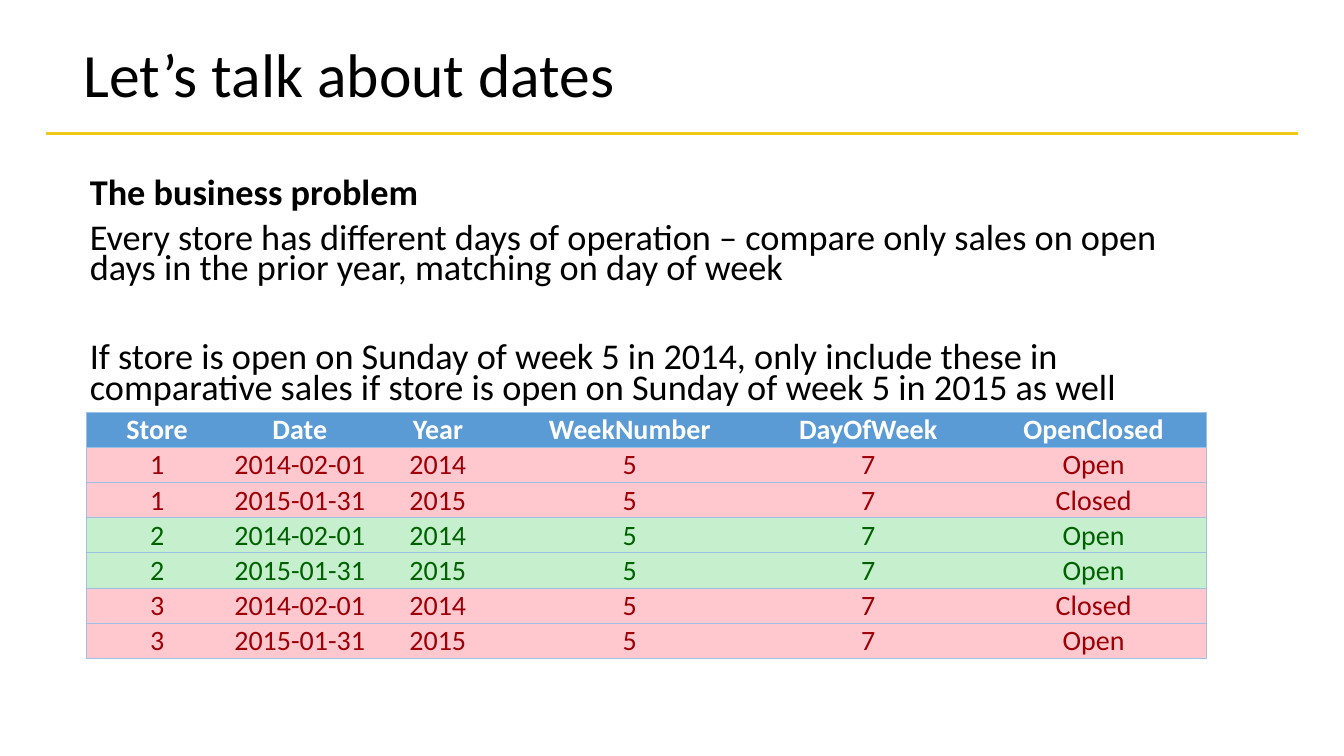
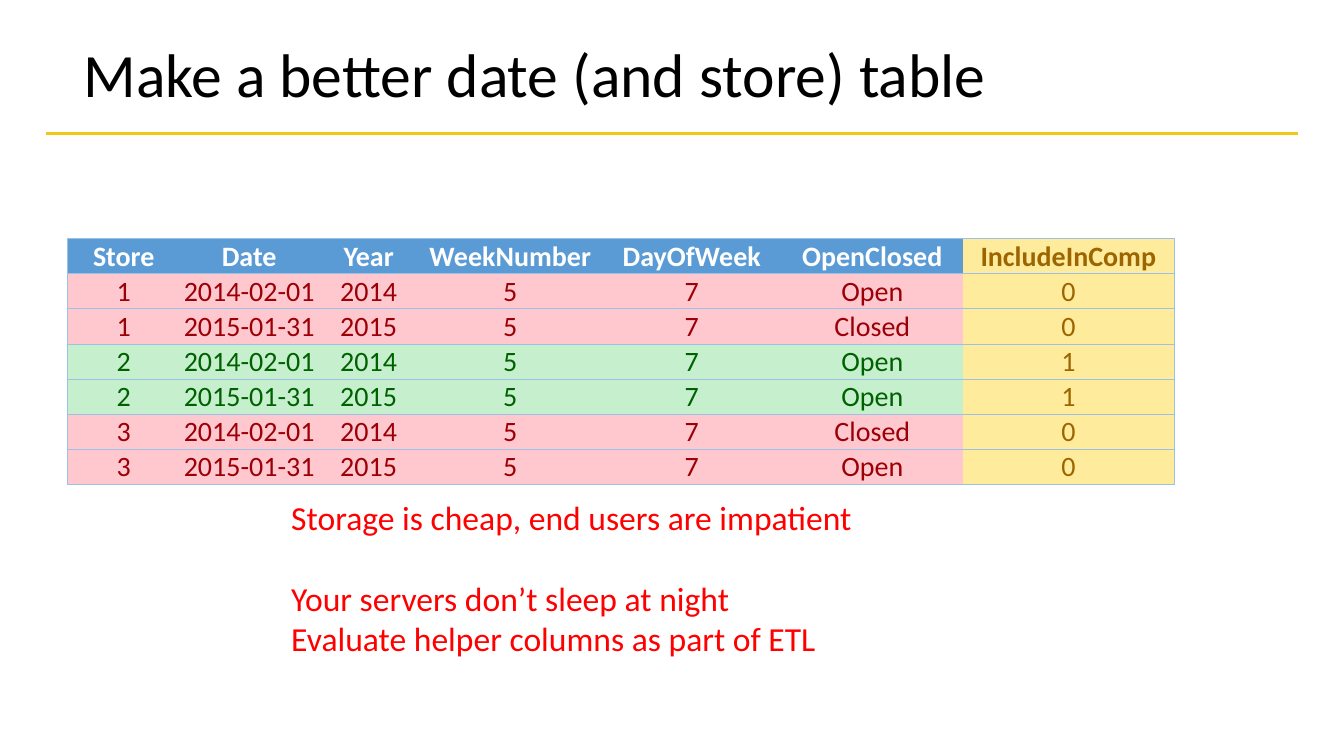
import lxml.etree
import pptx
import pptx.dml.color
import pptx.enum.shapes
import pptx.enum.text
import pptx.oxml.ns
import pptx.util

Cm = pptx.util.Cm
Pt = pptx.util.Pt
qn = pptx.oxml.ns.qn
ALIGN = pptx.enum.text.PP_ALIGN
ANCHOR = pptx.enum.text.MSO_ANCHOR
FIT = pptx.enum.text.MSO_AUTO_SIZE

FONT = "Calibri"
PLAIN = "{2D5ABB26-0587-4C30-8999-92F81FD0307C}"
COLORS = {
    "black": "000000", "white": "FFFFFF", "red": "FF0000", "gold": "F2C818",
    "blue": "5B9BD5", "edge": "9BC2E6",
    "rose": "FFC7CE", "wine": "9C0006",
    "mint": "C6EFCE", "green": "006100",
    "sand": "FFEB9C", "brown": "9C6500",
}
HEAD = ["Store", "Date", "Year", "WeekNumber", "DayOfWeek", "OpenClosed"]
DATES = ["2014-02-01", "2015-01-31"]
STORES = {"1": ["Open", "Closed"], "2": ["Open", "Open"], "3": ["Closed", "Open"]}


def rgb(name):
    return pptx.dml.color.RGBColor.from_string(COLORS[name])


def place(shape, left, top, width, height):
    shape.left, shape.top = Cm(left), Cm(top)
    shape.width, shape.height = Cm(width), Cm(height)


def write(para, text, size, color, bold=False):
    run = para.add_run()
    run.text = text
    font = run.font
    font.name, font.size, font.bold = FONT, Pt(size), bold
    font.color.rgb = rgb(color)


def lines(frame, items, size, color):
    for spot, (text, gap, bold) in enumerate(items):
        para = frame.add_paragraph() if spot else frame.paragraphs[0]
        para.space_before = Pt(gap)
        write(para, text, size, color, bold)


def add_rule(slide):
    kind = pptx.enum.shapes.MSO_CONNECTOR.STRAIGHT
    rule = slide.shapes.add_connector(kind, Cm(1.17), Cm(3.36), Cm(32.7), Cm(3.36))
    rule.line.color.rgb = rgb("gold")
    rule.line.width = Pt(2.25)
    lxml.etree.SubElement(rule.element.spPr, qn("a:effectLst"))


def add_page(deck, layout, title):
    slide = deck.slides.add_slide(deck.slide_layouts.get_by_name(layout))
    add_rule(slide)
    shape = slide.shapes.title
    place(shape, 1.85, 0.56, 30.2, 2.79)
    frame = shape.text_frame
    frame.vertical_anchor = ANCHOR.MIDDLE
    para = frame.paragraphs[0]
    para.alignment = ALIGN.LEFT
    para.line_spacing = 0.9
    write(para, title, 44, "black")
    return slide


def fill_body(slide, items):
    body = slide.placeholders[1]
    place(body, 1.71, 4.44, 28.22, 5.94)
    frame = body.text_frame
    frame.auto_size = FIT.NONE
    lines(frame, items, 25.9, "black")
    for para in frame.paragraphs:
        para.line_spacing = 0.7
        props = para._p.get_or_add_pPr()
        props.set("marL", str(Cm(0.3)))
        props.set("indent", "0")
        lxml.etree.SubElement(props, qn("a:buNone"))


def edge(cell, sides):
    props = cell._tc.get_or_add_tcPr()
    for spot, side in enumerate(sides):
        line = lxml.etree.Element(qn("a:ln" + side), w=str(Pt(0.5)))
        fill = lxml.etree.SubElement(line, qn("a:solidFill"))
        lxml.etree.SubElement(fill, qn("a:srgbClr"), val=COLORS["edge"])
        props.insert(spot, line)


def fill_cell(cell, text, back, color, bold):
    cell.fill.solid()
    cell.fill.fore_color.rgb = rgb(back)
    cell.vertical_anchor = ANCHOR.BOTTOM
    cell.margin_left = cell.margin_right = cell.margin_top = Cm(0.02)
    cell.margin_bottom = 0
    para = cell.text_frame.paragraphs[0]
    para.alignment = ALIGN.CENTER
    write(para, text, 20, color, bold)


def is_match(states):
    return all(state == "Open" for state in states)


def make_rows(flag):
    rows = [HEAD + ["IncludeInComp"] * flag]
    tints = [("blue", "white")]
    for store, states in STORES.items():
        match = is_match(states)
        for date, state in zip(DATES, states):
            rows.append([store, date, date[:4], "5", "7", state] + [str(int(match))] * flag)
            tints.append(("mint", "green") if match else ("rose", "wine"))
    return rows, tints


def add_grid(slide, left, top, widths, flag=False):
    rows, tints = make_rows(flag)
    tall = 0.87
    shape = slide.shapes.add_table(len(rows), len(widths), Cm(left), Cm(top),
                                   Cm(sum(widths)), Cm(tall * len(rows)))
    shape.element.find(".//" + qn("a:tableStyleId")).text = PLAIN
    grid = shape.table
    grid.horz_banding = False
    for col, width in zip(grid.columns, widths):
        col.width = Cm(width)
    last = len(widths) - 1
    for y, (row, tint) in enumerate(zip(rows, tints)):
        grid.rows[y].height = Cm(tall)
        for x, text in enumerate(row):
            cell = grid.cell(y, x)
            back, color = ("sand", "brown") if flag and x == last else tint
            fill_cell(cell, text, back, color, y == 0)
            edge(cell, "L" * (x == 0) + "R" * (x == last) + "TB")


def add_note(slide, items):
    box = slide.shapes.add_textbox(Cm(7.09), Cm(12.4), Cm(14.78), Cm(4.37))
    box.text_frame.word_wrap = False
    box.text_frame.auto_size = FIT.SHAPE_TO_FIT_TEXT
    lines(box.text_frame, items, 24, "red")


def main():
    deck = pptx.Presentation()
    deck.slide_width, deck.slide_height = Cm(33.87), Cm(19.05)

    slide = add_page(deck, "Title and Content", "Let’s talk about dates")
    fill_body(slide, [
        ("The business problem", 0, True),
        ("Every store has different days of operation – compare only sales on open "
         "days in the prior year, matching on day of week", 10, False),
        ("If store is open on Sunday of week 5 in 2014, only include these in "
         "comparative sales if store is open on Sunday of week 5 in 2015 as well", 42, False),
    ])
    add_grid(slide, 2.18, 10.39, [3.56, 3.63, 3.33, 6.34, 5.68, 5.68])

    slide = add_page(deck, "Title Only", "Make a better date (and store) table")
    add_grid(slide, 1.7, 6.01, [2.84, 3.48, 2.54, 4.6, 4.55, 4.55, 5.33], True)
    add_note(slide, [
        ("Storage is cheap, end users are impatient", 0, False),
        ("Your servers don’t sleep at night", 29, False),
        ("Evaluate helper columns as part of ETL", 0, False),
    ])
    deck.save("out.pptx")


if __name__ == "__main__":
    main()
